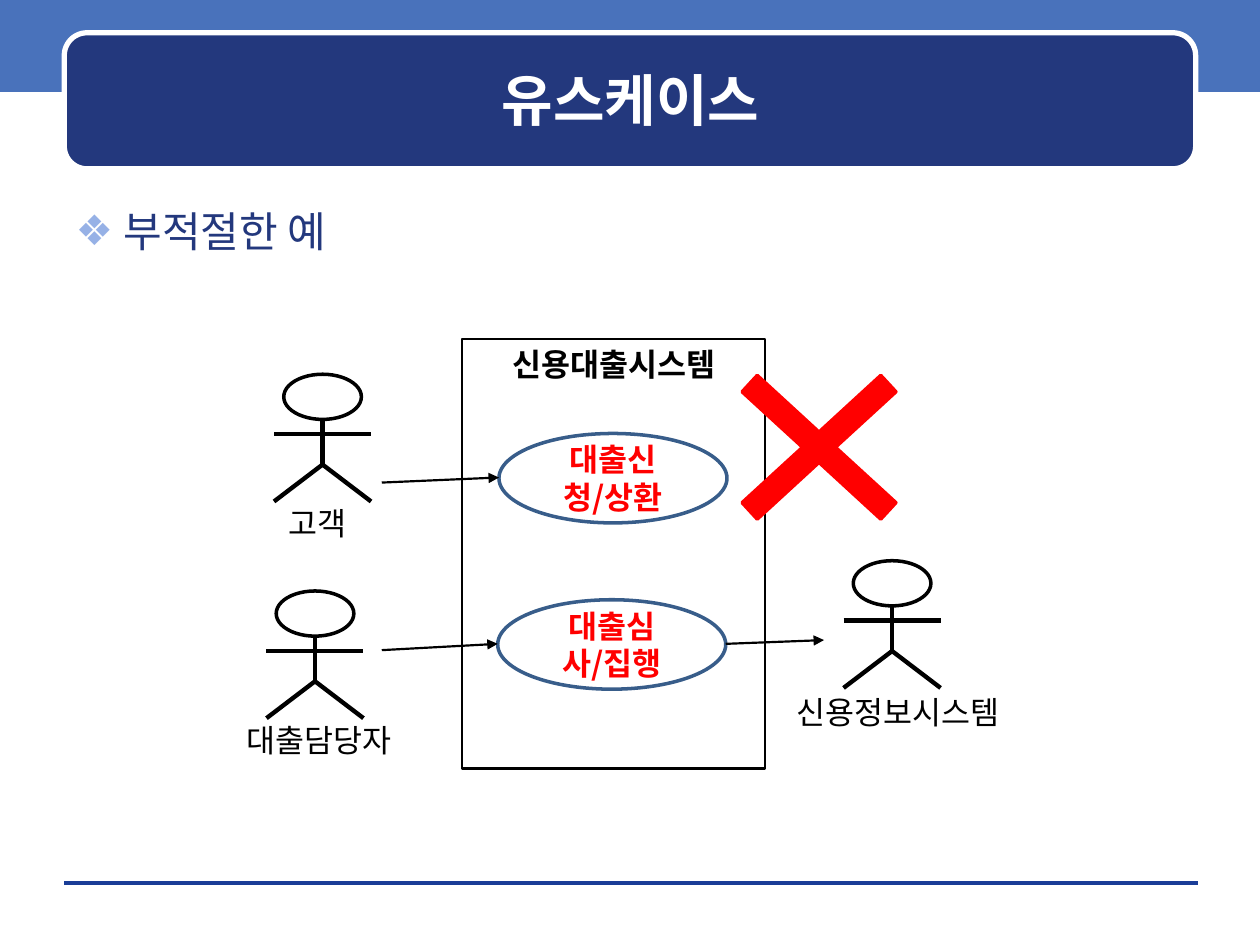
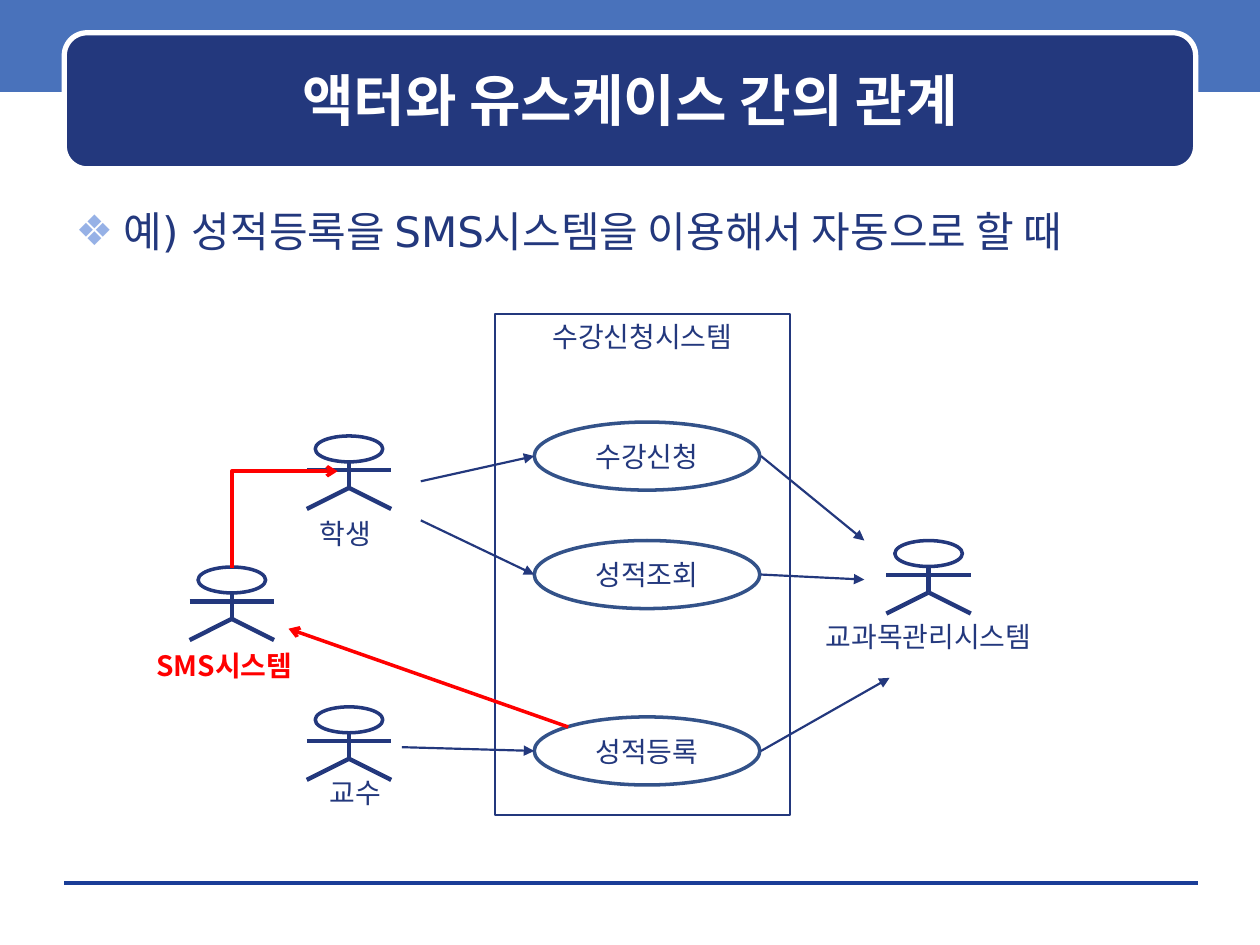
"""Build two use-case diagram slides with a shared banner style."""
from dataclasses import dataclass

from lxml import etree
from pptx import Presentation
from pptx.dml.color import RGBColor
from pptx.enum.shapes import MSO_CONNECTOR, MSO_SHAPE
from pptx.enum.text import MSO_ANCHOR, MSO_AUTO_SIZE, PP_ALIGN
from pptx.oxml.ns import qn
from pptx.util import Inches, Pt

STRAIGHT, ELBOW = MSO_CONNECTOR.STRAIGHT, MSO_CONNECTOR.ELBOW
RECTANGLE, ROUNDED, OVAL = MSO_SHAPE.RECTANGLE, MSO_SHAPE.ROUNDED_RECTANGLE, MSO_SHAPE.OVAL
TOP, MIDDLE = MSO_ANCHOR.TOP, MSO_ANCHOR.MIDDLE
CENTER, LEFT = PP_ALIGN.CENTER, PP_ALIGN.LEFT
NO_AUTOFIT = MSO_AUTO_SIZE.NONE


@dataclass(frozen=True)
class Theme:
    """Colours, fonts and sizes used on every slide."""
    navy: str = "23387D"
    band: str = "4972BB"
    rule: str = "1A3D97"
    bullet: str = "96B1E6"
    white: str = "FFFFFF"
    black: str = "000000"
    red: str = "FF0000"
    loan_oval: str = "385D8A"
    course_oval: str = "335289"
    heading_font: str = "DejaVu Sans"
    label_font: str = "Noto Sans CJK KR"
    title_size: int = 32
    body_size: int = 24
    loan_size: int = 18
    course_size: int = 16
    thin: float = 1.25
    medium: float = 2
    limb: float = 2.5
    border: float = 3


THEME = Theme()


def set_text(shape, text, font_name, size, colour, bold=False, align=CENTER, anchor=TOP, side=0.1):
    """Write one formatted paragraph into a shape and return the paragraph."""
    frame = shape.text_frame
    frame.text = text
    frame.word_wrap = True
    frame.auto_size = NO_AUTOFIT
    frame.vertical_anchor = anchor
    frame.margin_left = frame.margin_right = Inches(side)
    frame.margin_top = frame.margin_bottom = Inches(0.05)
    paragraph = frame.paragraphs[0]
    paragraph.alignment = align
    paragraph.space_before = Pt(0)
    for run in paragraph.runs:
        run.font.name = font_name
        run.font.size = Pt(size)
        run.font.bold = bold
        run.font.color.rgb = RGBColor.from_string(colour)
        etree.SubElement(run.font._element, qn("a:ea"), typeface=THEME.label_font)
    return paragraph


def place(shape, left, top, width, height):
    """Move and size a shape in inches."""
    shape.left, shape.top = Inches(left), Inches(top)
    shape.width, shape.height = Inches(width), Inches(height)


def style_shape(shape, fill=None, line=None, width=1.0):
    """Give a shape a plain fill and outline without a shadow."""
    shape.shadow.inherit = False
    if fill:
        shape.fill.solid()
        shape.fill.fore_color.rgb = RGBColor.from_string(fill)
    else:
        shape.fill.background()
    if line:
        shape.line.color.rgb = RGBColor.from_string(line)
        shape.line.width = Pt(width)
    else:
        shape.line.fill.background()


def add_box(shapes, kind, box, fill=None, line=None, width=1.0):
    """Add a preset shape at a box given in inches."""
    shape = shapes.add_shape(kind, *map(Inches, box))
    style_shape(shape, fill, line, width)
    return shape


def add_line(shapes, start, end, colour, width, tail=None, kind=STRAIGHT):
    """Add a connector, with an arrowhead at its end if one is named."""
    connector = shapes.add_connector(kind, *map(Inches, (*start, *end)))
    connector.line.color.rgb = RGBColor.from_string(colour)
    connector.line.width = Pt(width)
    properties = connector.element.spPr
    if tail:
        etree.SubElement(properties.find(qn("a:ln")), qn("a:tailEnd"), type=tail)
    etree.SubElement(properties, qn("a:effectLst"))
    return connector


def add_corner_arrow(shapes, start, end, colour, width):
    """Add an arrow that rises from its start and then turns to its end."""
    connector = add_line(shapes, end, start, colour, width, kind=ELBOW)
    properties = connector.element.spPr
    properties.find(qn("a:prstGeom")).set("prst", "bentConnector2")
    etree.SubElement(properties.find(qn("a:ln")), qn("a:headEnd"), type="arrow")


def add_actor(slide, middle, top, width, height, colour):
    """Draw a stick figure as one group."""
    shapes = slide.shapes.add_group_shape().shapes
    neck, arms, waist, feet = (top + height * part for part in (0.355, 0.47, 0.71, 1))
    left, right = middle - width / 2, middle + width / 2
    head = (middle - 0.4 * width, top, 0.8 * width, neck - top)
    add_box(shapes, OVAL, head, line=colour, width=THEME.medium)
    limbs = [
        ((middle, neck), (middle, waist)),
        ((left, arms), (right, arms)),
        ((middle, waist), (left, feet)),
        ((middle, waist), (right, feet)),
    ]
    for start, end in limbs:
        add_line(shapes, start, end, colour, THEME.limb)


def add_label(slide, text, middle, top, size, colour, bold=False):
    """Add a centred caption below an actor."""
    width = 2.44
    label = slide.shapes.add_textbox(*map(Inches, (middle - width / 2, top, width, 0.4)))
    set_text(label, text, THEME.label_font, size, colour, bold)


def add_system(slide, text, box, size, colour, bold=False):
    """Draw a system boundary with its name at the top."""
    system = add_box(slide.shapes, RECTANGLE, box, line=colour, width=THEME.thin)
    set_text(system, text, THEME.label_font, size, colour, bold)


def add_use_case(slide, text, box, size, colour, outline, bold=False):
    """Draw a use-case oval with its name."""
    oval = add_box(slide.shapes, OVAL, box, line=outline, width=THEME.medium)
    set_text(oval, text, THEME.label_font, size, colour, bold, anchor=MIDDLE, side=0)


def add_cross(slide, middle, centre):
    """Draw a red cross that is symmetric about its centre point."""
    half = [(0.49, -0.57), (0.61, -0.44), (0.13, 0), (0.61, 0.44), (0.49, 0.57), (0, 0.12)]
    outline = half + [(-x, -y) for x, y in half]
    points = [(Inches(middle + x), Inches(centre + y)) for x, y in outline]
    builder = slide.shapes.build_freeform(*points[0])
    builder.add_line_segments(points[1:], close=True)
    style_shape(builder.convert_to_shape(), THEME.red, THEME.red, THEME.medium)


def move_banner_to_layout(slide):
    """Draw the band, title panel and footer rule and hand them to the layout."""
    shapes = slide.shapes
    band = add_box(shapes, RECTANGLE, (0, -0.03, 10, 0.76), THEME.band)
    rule = add_line(shapes, (0.51, 7.01), (9.51, 7.01), THEME.rule, 0)
    panel = add_box(shapes, ROUNDED, (0.51, 0.26, 8.98, 1.08), THEME.navy, THEME.white, THEME.border)
    panel.adjustments[0] = 0.167
    layout_tree = slide.slide_layout.shapes.element
    for position, part in enumerate((band, rule, panel), start=2):
        layout_tree.insert(position, part.element)


def add_bullet(paragraph):
    """Give a paragraph a hanging diamond bullet."""
    properties = paragraph._p.get_or_add_pPr()
    properties.set("marL", str(Inches(0.38)))
    properties.set("indent", str(-Inches(0.38)))
    colour = etree.SubElement(properties, qn("a:buClr"))
    etree.SubElement(colour, qn("a:srgbClr"), val=THEME.bullet)
    etree.SubElement(properties, qn("a:buChar"), char="❖")


def add_content_slide(presentation, title, body, body_height):
    """Add a slide with a banner title and one bullet line."""
    slide = presentation.slides.add_slide(presentation.slide_layouts[1])
    heading, content = slide.shapes.title, slide.placeholders[1]
    place(heading, 0.6, 0.35, 8.81, 0.88)
    set_text(heading, title, THEME.heading_font, THEME.title_size, THEME.white, True, anchor=MIDDLE)
    place(content, 0.5, 1.58, 9, body_height)
    add_bullet(set_text(content, body, THEME.heading_font, THEME.body_size, THEME.navy, align=LEFT))
    return slide


def draw_loan_diagram(slide):
    """Draw the loan system with its badly combined use cases."""
    size, ink = THEME.loan_size, THEME.black
    add_system(slide, "신용대출시스템", (3.67, 2.69, 2.4, 3.41), size, ink, True)
    actors = [
        ("고객", 2.56, 2.97, 2.52, 3.95),
        ("대출담당자", 2.5, 4.69, 2.53, 5.67),
        ("신용정보시스템", 7.08, 4.45, 7.13, 5.45),
    ]
    for name, middle, top, label_middle, label_top in actors:
        add_actor(slide, middle, top, 0.77, 1.01, ink)
        add_label(slide, name, label_middle, label_top, size, ink)
    add_cross(slide, 6.5, 3.55)
    for name, left, top in (("대출심사/집행", 3.95, 4.76), ("대출신청/상환", 3.96, 3.44)):
        add_use_case(slide, name, (left, top, 1.81, 0.71), size, THEME.red, THEME.loan_oval, True)
    arrows = [
        ((3.03, 3.83), (3.96, 3.79)),
        ((3.03, 5.16), (3.95, 5.11)),
        ((5.76, 5.11), (6.54, 5.08)),
    ]
    for start, end in arrows:
        add_line(slide.shapes, start, end, ink, THEME.thin, "triangle")


def draw_course_diagram(slide):
    """Draw the course registration system with its message actor."""
    size, ink = THEME.course_size, THEME.navy
    add_system(slide, "수강신청시스템", (3.93, 2.49, 2.34, 3.98), size, ink)
    actors = [
        ("학생", 2.77, 3.46, 2.74, 4.05, ink),
        ("교수", 2.77, 5.61, 2.82, 6.11, ink),
        ("교과목관리시스템", 7.37, 4.29, 7.37, 4.87, ink),
        ("SMS시스템", 1.84, 4.5, 1.78, 5.1, THEME.red),
    ]
    for name, middle, top, label_middle, label_top, colour in actors:
        add_actor(slide, middle, top, 0.67, 0.58, ink)
        add_label(slide, name, label_middle, label_top, size, colour, colour == THEME.red)
    for name, top in (("수강신청", 3.35), ("성적조회", 4.29), ("성적등록", 5.69)):
        add_use_case(slide, name, (4.24, top, 1.79, 0.54), size, ink, THEME.course_oval)
    arrows = [
        ((3.34, 3.82), (4.24, 3.62)),
        ((3.34, 4.13), (4.24, 4.56)),
        ((3.19, 5.93), (4.24, 5.96)),
        ((6.04, 3.62), (6.86, 4.29)),
        ((6.04, 4.56), (6.86, 4.6)),
        ((6.04, 5.96), (7.06, 5.38)),
    ]
    for start, end in arrows:
        add_line(slide.shapes, start, end, ink, THEME.thin, "triangle")
    add_line(slide.shapes, (4.51, 5.77), (2.29, 4.99), THEME.red, THEME.medium, "arrow")
    add_corner_arrow(slide.shapes, (1.84, 4.51), (2.68, 3.74), THEME.red, THEME.medium)


def main():
    """Build and save the presentation."""
    presentation = Presentation()
    presentation.slide_width, presentation.slide_height = Inches(10), Inches(7.5)
    loan_slide = add_content_slide(presentation, "유스케이스", "부적절한 예", 5.33)
    move_banner_to_layout(loan_slide)
    draw_loan_diagram(loan_slide)
    course_slide = add_content_slide(
        presentation, "액터와 유스케이스 간의 관계",
        "예) 성적등록을 SMS시스템을 이용해서 자동으로 할 때", 0.92)
    draw_course_diagram(course_slide)
    presentation.save("out.pptx")


if __name__ == "__main__":
    main()
